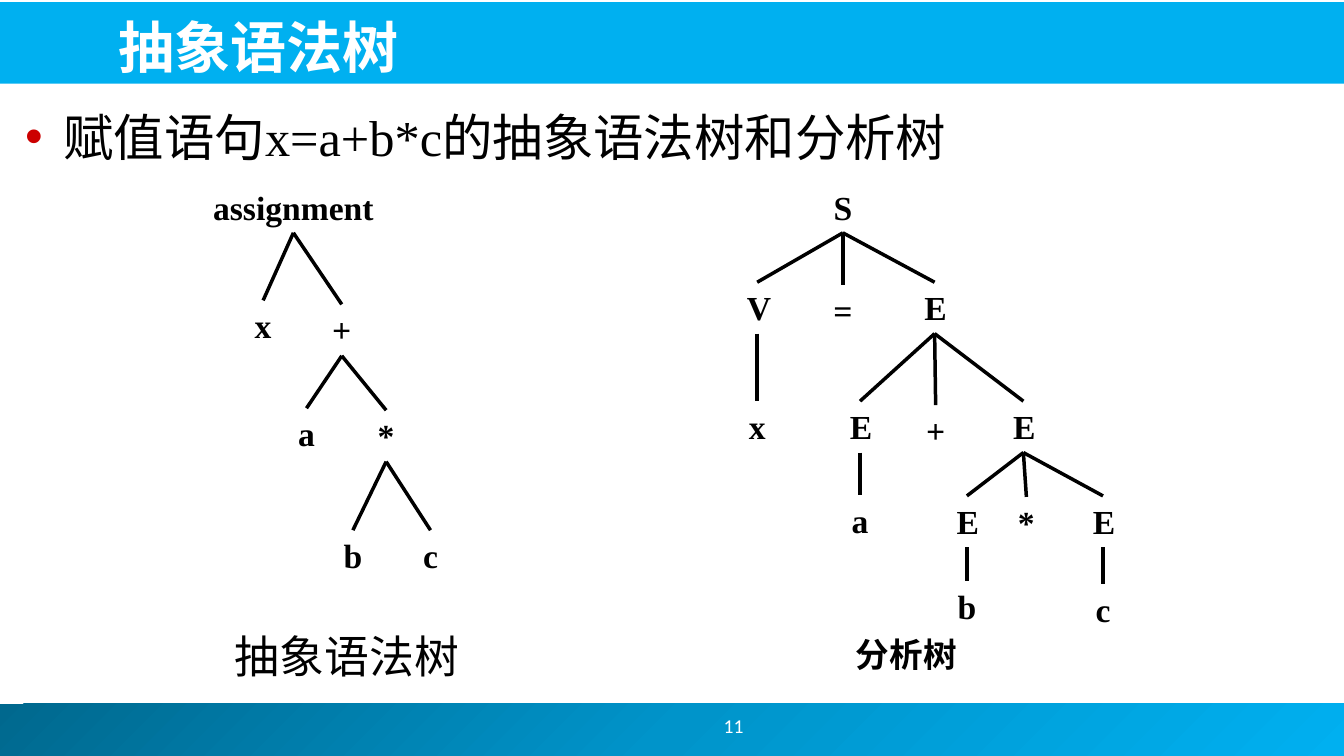
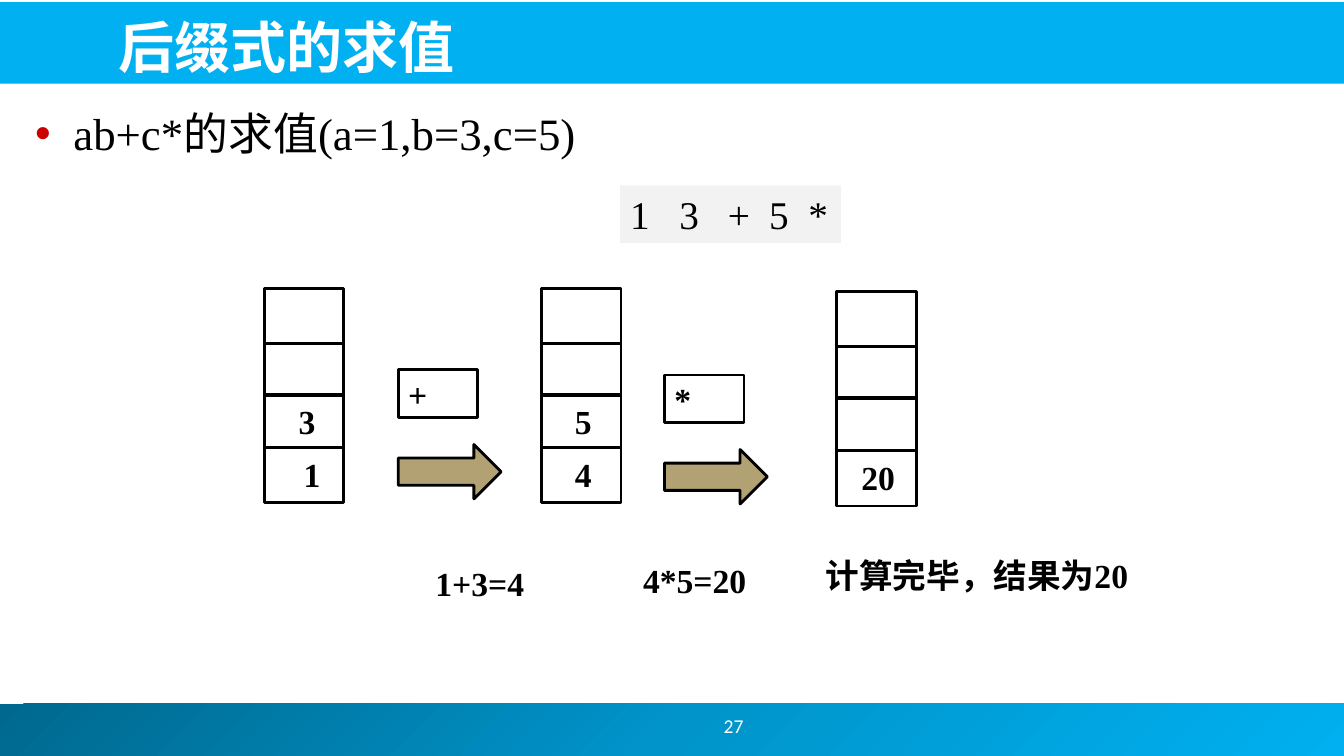
"""Build two slides on syntax trees and postfix evaluation."""
from copy import deepcopy

from lxml import etree
from pptx import Presentation
from pptx.dml.color import RGBColor
from pptx.enum.shapes import MSO_CONNECTOR, MSO_SHAPE
from pptx.enum.text import MSO_ANCHOR, PP_ALIGN
from pptx.oxml.ns import qn
from pptx.util import Inches, Pt

RECTANGLE, ARROW = MSO_SHAPE.RECTANGLE, MSO_SHAPE.RIGHT_ARROW
STRAIGHT = MSO_CONNECTOR.STRAIGHT
TOP, MIDDLE, BOTTOM = MSO_ANCHOR.TOP, MSO_ANCHOR.MIDDLE, MSO_ANCHOR.BOTTOM
LEFT, CENTER = PP_ALIGN.LEFT, PP_ALIGN.CENTER
BOTTOM_SITE, TOP_SITE = 2, 0

CELL = Inches(0.5)
SERIF, SANS, FOOTER_FONT = "Times New Roman", "Noto Sans CJK JP", "Calibri"
COLORS = {
    "black": "000000",
    "white": "FFFFFF",
    "band": "00B0F0",
    "band_middle": "0094CA",
    "band_dark": "00688E",
    "bullet": "CC0000",
    "expression": "F2F2F2",
    "arrow": "B2A173",
}
NODE_HEIGHT = 1.02
STACK_WIDTH, STACK_HEIGHT = 1.58, 4.26
STACK_DIVIDERS = (1.1, 2.12, 3.16)

SYNTAX_TREE = ("assignment", 5.82, 3.6, [
    ("x", 5.22, 5.96, []),
    ("+", 6.78, 6.04, [
        ("a", 6.08, 8.1, []),
        ("*", 7.66, 8.14, [
            ("b", 7, 10.52, []),
            ("c", 8.54, 10.52, []),
        ]),
    ]),
])
PARSE_TREE = ("S", 16.72, 3.6, [
    ("V", 15.02, 5.6, [("x", 15.02, 7.96, [])]),
    ("=", 16.72, 5.66, []),
    ("E", 18.54, 5.6, [
        ("E", 17.06, 7.96, [("a", 17.06, 9.82, [])]),
        ("+", 18.56, 8.04, []),
        ("E", 20.3, 7.96, [
            ("E", 19.18, 9.84, [("b", 19.18, 11.52, [])]),
            ("*", 20.36, 9.86, []),
            ("E", 21.88, 9.84, [("c", 21.88, 11.58, [])]),
        ]),
    ]),
])
STACKS = [
    (5.24, 5.72, [("1", 6.19), ("3", 6.09)]),
    (10.74, 5.72, [("4", 11.57), ("5", 11.57)]),
    (16.6, 5.78, [("20", 17.42)]),
]
OPERATORS = [("+", 7.9, 7.34), ("*", 13.18, 7.44)]
STEPS = [("1+3=4", 8.44, 11.08, 2.18), ("4*5=20", 12.56, 11.02, 2.46),
         ("计算完毕，结果为20", 16.18, 10.92, 6.56)]


def grid(*cells):
    """Turn columns and rows into slide lengths."""
    return [int(cell * CELL) for cell in cells]


def color(name):
    """Look up a named colour."""
    return RGBColor.from_string(COLORS[name])


def write(shape, text, size=24, bold=True, font=SERIF, ink="black",
          align=LEFT, anchor=TOP, wrap=False):
    """Set the text of a shape and format it."""
    frame = shape.text_frame
    frame.word_wrap = wrap
    frame.vertical_anchor = anchor
    frame.text = text
    paragraph = frame.paragraphs[0]
    paragraph.alignment = align
    for run in paragraph.runs:
        run.font.size, run.font.bold, run.font.name = Pt(size), bold, font
        run.font.color.rgb = color(ink)
        latin = run.font._element.find(qn("a:latin"))
        east_asian = etree.Element(qn("a:ea"), typeface=SANS)
        latin.addnext(east_asian)
    return paragraph


def add_text(slide, area, text, **style):
    """Add a text box over an area of the grid."""
    box = slide.shapes.add_textbox(*grid(*area))
    write(box, text, **style)
    return box


def add_box(slide, area, preset=RECTANGLE, fill=None, outline=True):
    """Add a preset shape, outlined in black unless told otherwise."""
    shape = slide.shapes.add_shape(preset, *grid(*area))
    shape.shadow.inherit = False
    if fill:
        shape.fill.solid()
        shape.fill.fore_color.rgb = color(fill)
    else:
        shape.fill.background()
    if outline:
        shape.line.color.rgb = color("black")
        shape.line.width = Pt(2)
    else:
        shape.line.fill.background()
    return shape


def add_line(slide, ends=(0, 0, 0, 0)):
    """Add a plain black line."""
    line = slide.shapes.add_connector(STRAIGHT, *grid(*ends))
    line.line.color.rgb = color("black")
    line.line.width = Pt(2.5)
    etree.SubElement(line._element.spPr, qn("a:effectLst"))
    return line


def add_footer_band(slide):
    """Add the bottom band with its three-stop gradient."""
    band = add_box(slide, (0, 13.96, 26.66, 1.04), outline=False)
    band.fill.gradient()
    band.fill.gradient_angle = 315
    stops = band._element.spPr.find(".//" + qn("a:gsLst"))
    stops.append(deepcopy(stops[-1]))
    names = ("band_dark", "band_middle", "band")
    for index, (stop, name) in enumerate(zip(band.fill.gradient_stops, names)):
        stop.position = index / 2
        stop.color.rgb = color(name)


def add_bullet(slide, area, text, size):
    """Add the lead sentence with a red bullet."""
    box = slide.shapes.add_textbox(*grid(*area))
    paragraph = write(box, text, size=size, bold=False, wrap=True)
    properties = paragraph._element.get_or_add_pPr()
    properties.set("marL", str(Inches(0.38)))
    properties.set("indent", str(-Inches(0.38)))
    bullet_color = etree.SubElement(properties, qn("a:buClr"))
    etree.SubElement(bullet_color, qn("a:srgbClr"), val=COLORS["bullet"])
    etree.SubElement(properties, qn("a:buFont"), typeface="Arial")
    etree.SubElement(properties, qn("a:buChar"), char="•")


def add_base_slide(presentation, title, number):
    """Add a slide with the shared bands, title and page number."""
    slide = presentation.slides.add_slide(presentation.slide_layouts[6])
    add_footer_band(slide)
    add_box(slide, (-0.04, 0.04, 26.72, 1.62), fill="band", outline=False)
    add_text(slide, (11.66, 13.9, 5.78, 1), number, size=14, bold=False,
             font=FOOTER_FONT, ink="white", align=CENTER, anchor=MIDDLE)
    add_text(slide, (2.16, 0.1, 23.62, 1.58), title, size=40, font=SANS,
             ink="white", anchor=BOTTOM, wrap=True)
    return slide


def add_tree(slide, node):
    """Add a node and its subtrees, joined by lines, and return its box."""
    label, center, top, children = node
    width = max(0.8, 0.36 * len(label))
    area = (center - width / 2, top, width, NODE_HEIGHT)
    parent = add_text(slide, area, label, align=CENTER)
    for child in children:
        child_box = add_tree(slide, child)
        edge = add_line(slide)
        edge.begin_connect(parent, BOTTOM_SITE)
        edge.end_connect(child_box, TOP_SITE)
    return parent


def add_stack(slide, left, top, values):
    """Add a four-cell stack holding values from the bottom up."""
    add_box(slide, (left, top, STACK_WIDTH, STACK_HEIGHT))
    for offset in STACK_DIVIDERS:
        row = top + offset
        add_line(slide, (left, row, left + STACK_WIDTH, row))
    for (value, center), offset in zip(values, reversed(STACK_DIVIDERS)):
        area = (center - STACK_WIDTH / 2, top + offset + 0.02, STACK_WIDTH, 1)
        add_text(slide, area, value, align=CENTER)


def add_operator(slide, operator, left, top):
    """Add an operator box with the arrow below it."""
    box = add_box(slide, (left, top, 1.58, 0.94))
    write(box, operator, anchor=MIDDLE, wrap=True)
    add_box(slide, (left, top + 1.48, 2.04, 1.08), ARROW, fill="arrow")


def add_expression(slide):
    """Add the postfix expression, its symbols set on tab stops."""
    box = add_box(slide, (12.3, 3.68, 4.38, 1.14), fill="expression",
                  outline=False)
    paragraph = write(box, "1\t3\t+\t5\t*", size=28, bold=False, wrap=True)
    properties = paragraph._element.get_or_add_pPr()
    tabs = etree.SubElement(properties, qn("a:tabLst"))
    for position in (0.49, 0.97, 1.38, 1.77):
        etree.SubElement(tabs, qn("a:tab"), pos=str(Inches(position)), algn="l")


def build_trees(presentation):
    """Build the slide comparing the two trees."""
    slide = add_base_slide(presentation, "抽象语法树", "11")
    add_bullet(slide, (0.3, 2, 21.16, 1.34), "赋值语句x=a+b*c的抽象语法树和分析树", 36)
    add_tree(slide, SYNTAX_TREE)
    add_tree(slide, PARSE_TREE)
    add_text(slide, (4.46, 12.38, 4.88, 1.28), "抽象语法树", size=32, bold=False)
    add_text(slide, (16.78, 12.48, 2.42, 1.02), "分析树")


def build_evaluation(presentation):
    """Build the slide on evaluating a postfix expression."""
    slide = add_base_slide(presentation, "后缀式的求值", "27")
    add_bullet(slide, (0.5, 2, 22.16, 1.34), "ab+c*的求值(a=1,b=3,c=5)", 32)
    add_expression(slide)
    for stack in STACKS:
        add_stack(slide, *stack)
    for operator in OPERATORS:
        add_operator(slide, *operator)
    for text, left, top, width in STEPS:
        add_text(slide, (left, top, width, 1), text)


def main():
    """Build and save the presentation."""
    presentation = Presentation()
    presentation.slide_width = Inches(13.33)
    presentation.slide_height = Inches(7.5)
    build_trees(presentation)
    build_evaluation(presentation)
    presentation.save("out.pptx")


if __name__ == "__main__":
    main()
